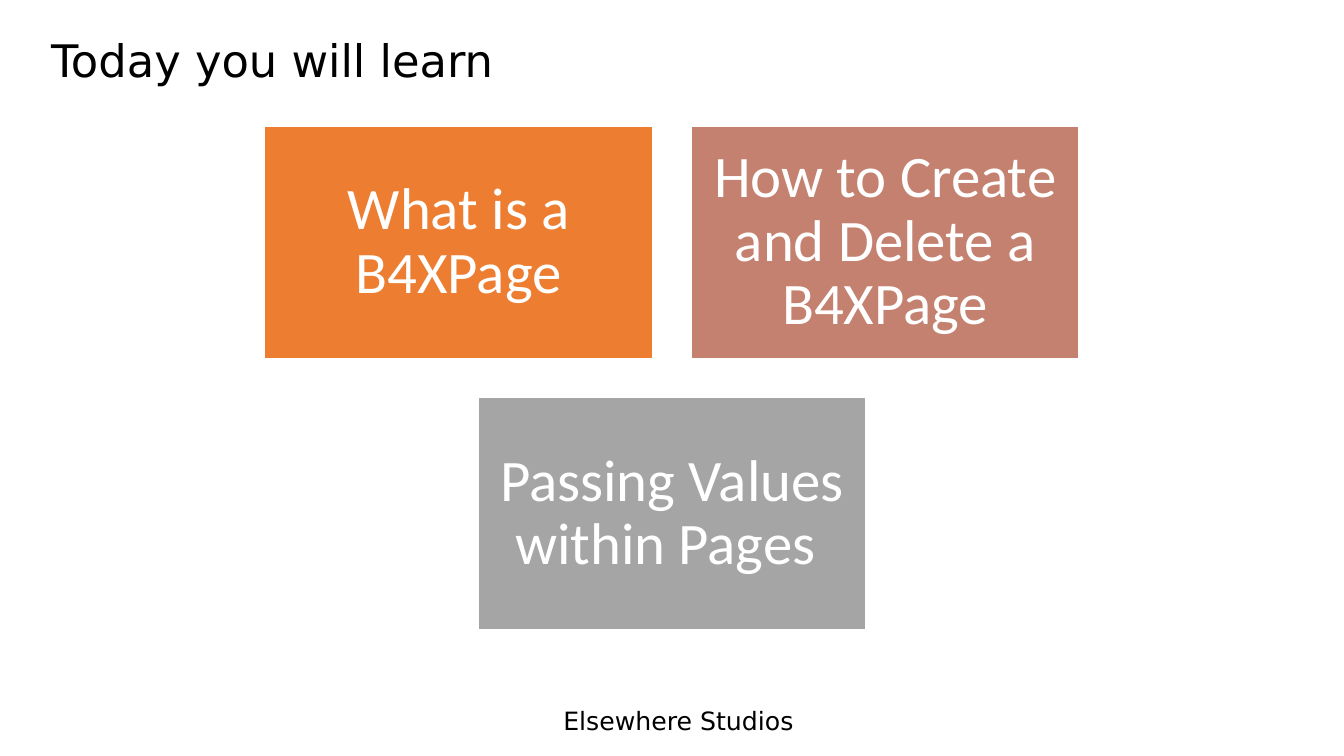
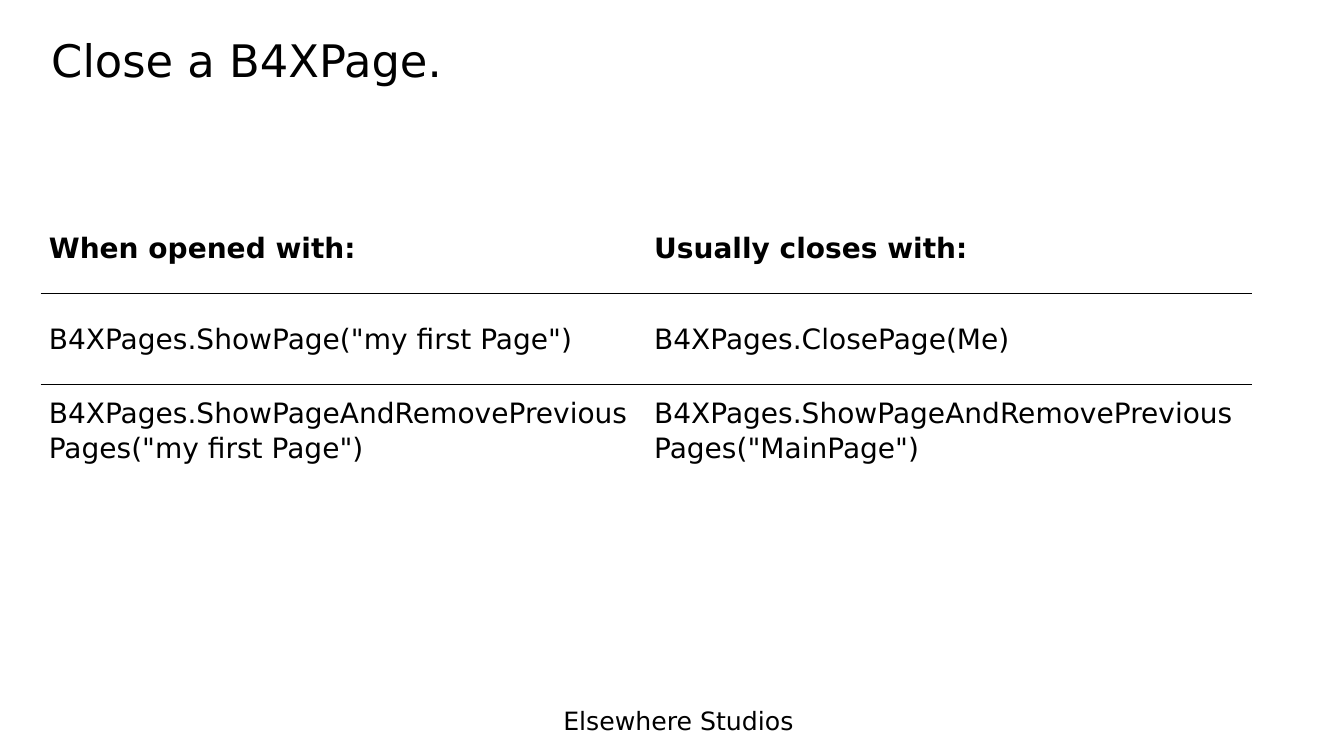
from dataclasses import dataclass

from lxml import etree
from pptx import Presentation
from pptx.dml.color import RGBColor
from pptx.enum import shapes, text
from pptx.oxml import ns
from pptx.util import Pt


@dataclass(frozen=True)
class Theme:
    ink: str = "000000"
    paper: str = "FFFFFF"
    topic_fills: tuple = ("ED7D31", "C48170", "A5A5A5")
    font: str = "DejaVu Sans"
    topic_font: str = "Calibri"
    title_size: int = 32
    topic_size: int = 42
    cell_size: int = 20
    footer_size: int = 18
    rule: int = 1


theme = Theme()
SLIDE_W, SLIDE_H = 960, 540
LEFT, CONTENT_W = 29.5, 864.7


def write(frame, words, size, color=theme.ink, font=theme.font, spacing=1.0, bold=False):
    frame.word_wrap = True
    frame.text = words
    paragraph = frame.paragraphs[0]
    paragraph.line_spacing = spacing
    paragraph.font.name = font
    paragraph.font.size = Pt(size)
    paragraph.font.bold = bold
    paragraph.font.color.rgb = RGBColor.from_string(color)
    return paragraph


def add_page(heading):
    page = deck.slides.add_slide(deck.slide_layouts[6])
    footer = page.shapes.add_textbox(Pt(395.3), Pt(500.4), Pt(208.8), Pt(28.8))
    write(footer.text_frame, "Elsewhere Studios", theme.footer_size)
    title = page.shapes.add_textbox(Pt(LEFT), Pt(10.8), Pt(CONTENT_W), Pt(68.4))
    title.text_frame.vertical_anchor = text.MSO_ANCHOR.MIDDLE
    write(title.text_frame, heading, theme.title_size, spacing=0.9)
    return page


deck = Presentation()
deck.slide_width, deck.slide_height = Pt(SLIDE_W), Pt(SLIDE_H)

agenda = add_page("Today you will learn")
topic_rows = [
    ["What is a B4XPage", "How to Create and Delete a B4XPage"],
    ["Passing Values within Pages "],
]
topic_w = 277
topic_h, gap, top = topic_w * 0.6, topic_w * 0.1, 90
fills = iter(theme.topic_fills)
for r, topics in enumerate(topic_rows):
    row_w = len(topics) * (topic_w + gap) - gap
    for c, topic in enumerate(topics):
        x = (SLIDE_W - row_w) / 2 + c * (topic_w + gap)
        y = top + r * (topic_h + gap)
        card = agenda.shapes.add_shape(
            shapes.MSO_SHAPE.RECTANGLE, Pt(x), Pt(y), Pt(topic_w), Pt(topic_h))
        card.shadow.inherit = False
        card.fill.solid()
        card.fill.fore_color.rgb = RGBColor.from_string(next(fills))
        card.line.color.rgb = RGBColor.from_string(theme.paper)
        card.line.width = Pt(theme.rule)
        frame = card.text_frame
        frame.margin_left = frame.margin_right = Pt(12.6)
        frame.margin_top = frame.margin_bottom = Pt(12.6)
        frame.vertical_anchor = text.MSO_ANCHOR.MIDDLE
        label = write(frame, topic, theme.topic_size, theme.paper, theme.topic_font, 0.9)
        label.alignment = text.PP_ALIGN.CENTER

closing = add_page("Close a B4XPage.")
calls = [
    ["When opened with:", "Usually closes with:"],
    ['B4XPages.ShowPage("my first Page")', "B4XPages.ClosePage(Me)"],
    ['B4XPages.ShowPageAndRemovePreviousPages("my first Page")',
     'B4XPages.ShowPageAndRemovePreviousPages("MainPage")'],
]
grid = closing.shapes.add_table(
    len(calls), 2, Pt(LEFT), Pt(144.5), Pt(CONTENT_W), Pt(195)).table
grid.first_row = grid.horz_banding = False
for r, pair in enumerate(calls):
    for c, words in enumerate(pair):
        cell = grid.cell(r, c)
        cell.fill.background()
        cell.margin_left = cell.margin_right = Pt(5.4)
        cell.margin_top = cell.margin_bottom = 0
        cell.vertical_anchor = text.MSO_ANCHOR.MIDDLE
        entry = write(cell.text_frame, words, theme.cell_size, spacing=1.07, bold=r == 0)
        entry.space_after = Pt(8)
        edges = [("a:lnT", r > 0), ("a:lnB", r < len(calls) - 1)]
        properties = cell._tc.get_or_add_tcPr()
        for edge, ruled in reversed(edges):
            if ruled:
                border = etree.Element(ns.qn(edge), w=str(Pt(theme.rule)))
                paint = etree.SubElement(border, ns.qn("a:solidFill"))
                etree.SubElement(paint, ns.qn("a:srgbClr"), val=theme.ink)
                properties.insert(0, border)

deck.save("out.pptx")
